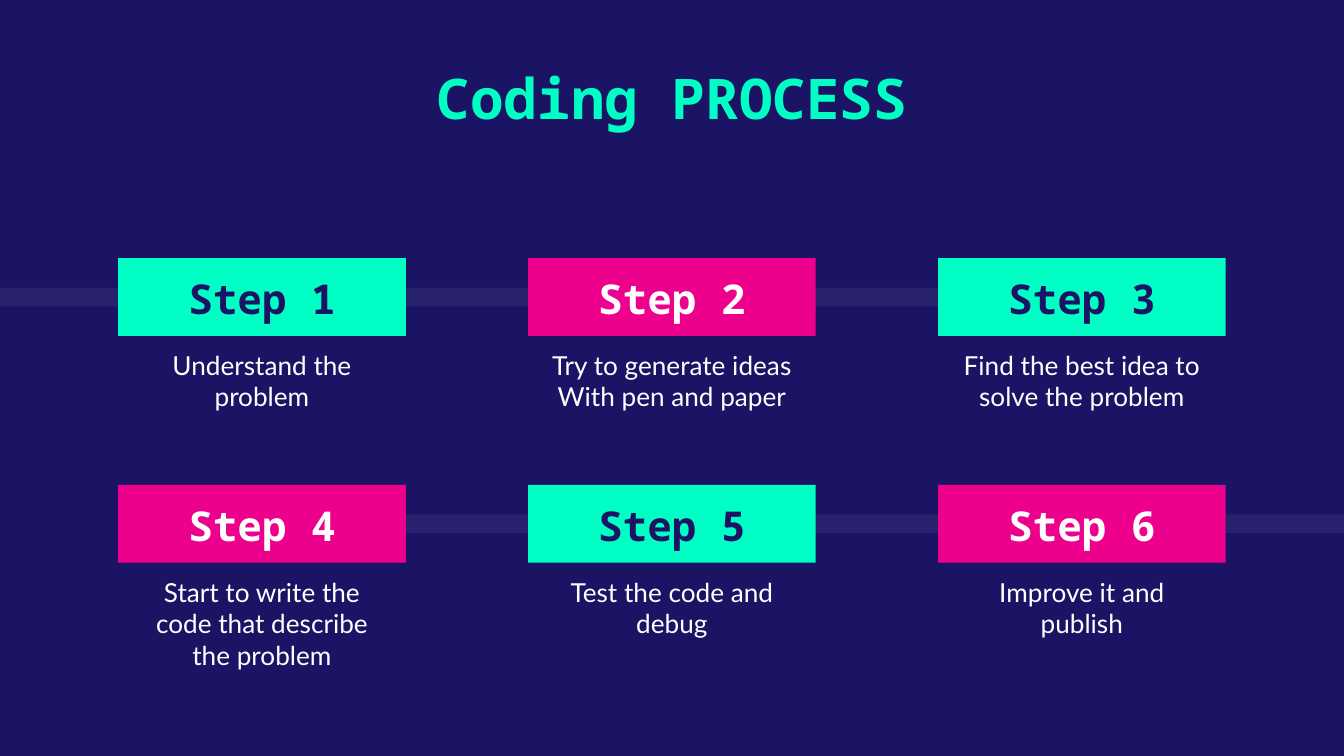
from dataclasses import dataclass

from lxml.etree import SubElement
from pptx import Presentation
from pptx.dml.color import RGBColor
from pptx.enum.shapes import MSO_SHAPE as Kind
from pptx.enum.text import MSO_ANCHOR as Anchor, MSO_AUTO_SIZE as Fit, PP_ALIGN as Align
from pptx.oxml.ns import qn
from pptx.util import Inches, Pt

NAVY = RGBColor(0x1B, 0x14, 0x64)
MINT = RGBColor(0x00, 0xFF, 0xC5)
PINK = RGBColor(0xEC, 0x00, 0x8C)
WHITE = RGBColor(0xFF, 0xFF, 0xFF)
MONO, SANS = "Noto Sans Mono", "Lato"

WIDE = 10
HIGH = WIDE * 9 / 16
COLS = 3
EDGE, TOP = 0.88, 1.92
TAB_W, TAB_H = 2.14, 0.58
NOTE_W, NOTE_H = 2.07, 0.73
COL_GAP = (WIDE - 2 * EDGE - TAB_W) / (COLS - 1)
ROW_GAP = HIGH * 0.3
BAND_H = 0.14
BAND_TOP = TOP + (TAB_H - BAND_H) / 2


@dataclass(frozen=True)
class Box:
    left: float
    top: float
    width: float
    height: float

    def spot(self) -> tuple:
        return tuple(Inches(n) for n in (self.left, self.top, self.width, self.height))


@dataclass(frozen=True)
class Step:
    num: int
    note: str

    @property
    def row(self) -> int:
        return (self.num - 1) // COLS

    @property
    def col(self) -> int:
        return (self.num - 1) % COLS


STEPS = (
    Step(1, "Understand the problem"),
    Step(2, "Try to generate ideas\nWith pen and paper"),
    Step(3, "Find the best idea to solve the problem"),
    Step(4, "Start to write the code that describe the problem"),
    Step(5, "Test the code and debug"),
    Step(6, "Improve it and publish"),
)
BANDS = (
    Box(0, BAND_TOP, 8.52, BAND_H),
    Box(1.02, BAND_TOP + ROW_GAP, WIDE - 1.02, BAND_H),
)


def write(shape, text: str, *, size: float, color: RGBColor, face: str = SANS,
          bold: bool = False, anchor: Anchor = Anchor.TOP) -> None:
    frame = shape.text_frame
    frame.text = text
    frame.word_wrap = True
    frame.auto_size = Fit.NONE
    frame.vertical_anchor = anchor
    frame.margin_left = frame.margin_right = Inches(0.1)
    frame.margin_top = frame.margin_bottom = Inches(0.1)
    for para in frame.paragraphs:
        para.alignment = Align.CENTER
        for run in para.runs:
            font = run.font
            font.name, font.size, font.bold = face, Pt(size), bold
            font.color.rgb = color


def block(slide, box: Box, fill: RGBColor):
    shape = slide.shapes.add_shape(Kind.RECTANGLE, *box.spot())
    shape.shadow.inherit = False
    shape.fill.solid()
    shape.fill.fore_color.rgb = fill
    shape.line.fill.background()
    return shape


def band(slide, box: Box) -> None:
    shape = block(slide, box, WHITE)
    tint = shape.fill._xPr.find(qn("a:solidFill"))[0]
    SubElement(tint, qn("a:alpha")).set("val", "6000")


def card(slide, step: Step) -> None:
    left = EDGE + step.col * COL_GAP
    top = TOP + step.row * ROW_GAP
    fill, ink = (PINK, WHITE) if (step.row + step.col) % 2 else (MINT, NAVY)
    note = Box(left + (TAB_W - NOTE_W) / 2, top + TAB_H, NOTE_W, NOTE_H)
    write(slide.shapes.add_textbox(*note.spot()), step.note, size=14, color=WHITE)
    tab = block(slide, Box(left, top, TAB_W, TAB_H), fill)
    write(tab, f"Step {step.num}", size=22, color=ink, face=MONO, bold=True,
          anchor=Anchor.BOTTOM)


def main() -> None:
    deck = Presentation()
    deck.slide_width, deck.slide_height = Inches(WIDE), Inches(HIGH)
    slide = deck.slides.add_slide(deck.slide_layouts[5])
    slide.background.fill.solid()
    slide.background.fill.fore_color.rgb = NAVY

    title = slide.shapes.title
    title.left, title.top, title.width, title.height = Box(1.4, 0.37, 7.2, 0.73).spot()
    write(title, "Coding PROCESS", size=30, color=MINT, face=MONO, bold=True)
    for box in BANDS:
        band(slide, box)
    for step in STEPS:
        card(slide, step)
    deck.save("out.pptx")


if __name__ == "__main__":
    main()
